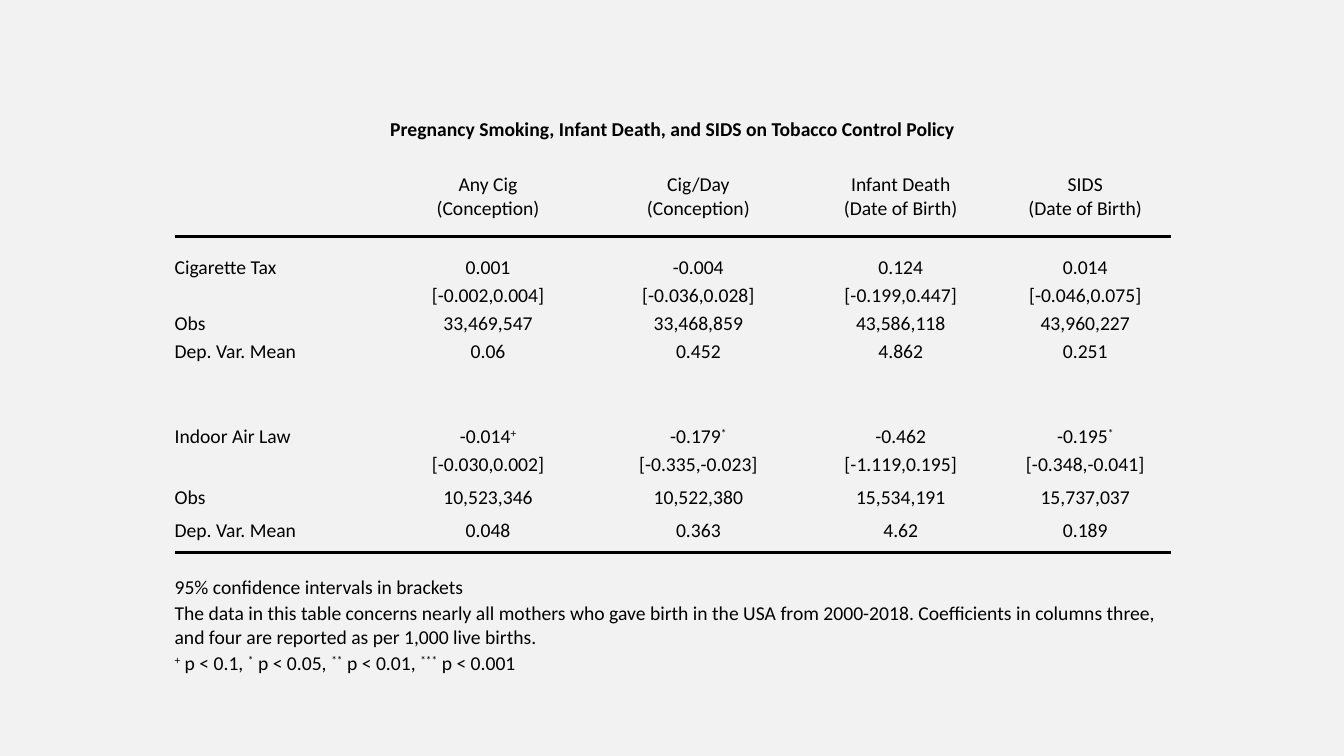
from lxml.etree import SubElement
from pptx import Presentation
from pptx.dml.color import RGBColor
from pptx.enum.shapes import MSO_CONNECTOR
from pptx.enum.text import MSO_ANCHOR, PP_ALIGN
from pptx.oxml.ns import qn
from pptx.util import Cm, Pt

COLORS = {"background": "F2F2F2", "ink": "000000"}
FONT_NAME, FONT_SIZE = "Calibri", 14
NO_GRID_STYLE = "{2D5ABB26-0587-4C30-8999-92F81FD0307C}"
SUPERSCRIPT_MARK = "|"

TITLE = "Pregnancy Smoking, Infant Death, and SIDS on Tobacco Control Policy"
HEADINGS = ["", "Any Cig\n(Conception)", "Cig/Day\n(Conception)",
            "Infant Death\n(Date of Birth)", "SIDS\n(Date of Birth)"]
CIGARETTE_TAX = [
    ["Cigarette Tax", "0.001", "-0.004", "0.124", "0.014"],
    ["", "[-0.002,0.004]", "[-0.036,0.028]", "[-0.199,0.447]", "[-0.046,0.075]"],
    ["Obs", "33,469,547", "33,468,859", "43,586,118", "43,960,227"],
    ["Dep. Var. Mean", "0.06", "0.452", "4.862", "0.251"],
]
INDOOR_AIR_LAW = [
    ["Indoor Air Law", "-0.014|+", "-0.179|*", "-0.462", "-0.195|*"],
    ["", "[-0.030,0.002]", "[-0.335,-0.023]", "[-1.119,0.195]", "[-0.348,-0.041]"],
    ["Obs", "10,523,346", "10,522,380", "15,534,191", "15,737,037"],
    ["Dep. Var. Mean", "0.048", "0.363", "4.62", "0.189"],
]
NOTES = [
    "95% confidence intervals in brackets",
    "The data in this table concerns nearly all mothers who gave birth in the USA "
    "from 2000-2018. Coefficients in columns three, and four are reported as per "
    "1,000 live births.",
    "|+| p < 0.1, |*| p < 0.05, |**| p < 0.01, |***| p < 0.001",
]

BLANK = [""] * 5
ROWS = [[TITLE], BLANK, HEADINGS, BLANK, *CIGARETTE_TAX, BLANK, BLANK,
        *INDOOR_AIR_LAW, BLANK, *[[note] for note in NOTES]]
MERGED_WIDTHS = {0: 5, 1: 5, 3: 4, 14: 5, 15: 5, 16: 5, 17: 5}

TABLE_LEFT, TABLE_TOP = 4.4, 2.9
COLUMN_WIDTHS = [5.2, 5.4, 5.2, 5, 4.3]
ROW_HEIGHT = 0.71
SPECIAL_HEIGHTS = {0: 0.74, 1: 0.61, 2: 1.42, 12: 0.97, 16: 1.2}
ROW_HEIGHTS = [SPECIAL_HEIGHTS.get(index, ROW_HEIGHT) for index in range(len(ROWS))]
TABLE_WIDTH = sum(COLUMN_WIDTHS)
RULE_TOPS = [5.97, 13.92]


def write_paragraph(paragraph, text, alignment, bold):
    paragraph.alignment = alignment
    for index, part in enumerate(text.split(SUPERSCRIPT_MARK)):
        if not part:
            continue
        run = paragraph.add_run()
        run.text = part
        run.font.name = FONT_NAME
        run.font.size = Pt(FONT_SIZE)
        run.font.bold = bold
        run.font.color.rgb = RGBColor.from_string(COLORS["ink"])
        if index % 2:
            run._r.get_or_add_rPr().set("baseline", "30000")
    if not text:
        paragraph._p.get_or_add_endParaRPr().set("sz", str(FONT_SIZE * 100))


def write_cell(cell, text, alignment, bold):
    cell.fill.background()
    cell.vertical_anchor = MSO_ANCHOR.MIDDLE
    cell.margin_left = cell.margin_right = cell.margin_top = cell.margin_bottom = 0
    for index, line in enumerate(text.split("\n")):
        frame = cell.text_frame
        paragraph = frame.add_paragraph() if index else frame.paragraphs[0]
        write_paragraph(paragraph, line, alignment, bold)


def add_results_table(slide):
    table = slide.shapes.add_table(
        len(ROWS), len(COLUMN_WIDTHS), Cm(TABLE_LEFT), Cm(TABLE_TOP),
        Cm(TABLE_WIDTH), Cm(sum(ROW_HEIGHTS))).table
    table.first_row = table.horz_banding = False
    table._tbl.tblPr.find(qn("a:tableStyleId")).text = NO_GRID_STYLE
    for column, width in zip(table.columns, COLUMN_WIDTHS):
        column.width = Cm(width)
    for row, height in zip(table.rows, ROW_HEIGHTS):
        row.height = Cm(height)
    for row_index, texts in enumerate(ROWS):
        is_title = row_index == 0
        for column_index in range(len(COLUMN_WIDTHS)):
            text = texts[column_index] if column_index < len(texts) else ""
            centered = is_title or column_index > 0
            alignment = PP_ALIGN.CENTER if centered else PP_ALIGN.LEFT
            write_cell(table.cell(row_index, column_index), text, alignment, is_title)
    for row_index, width in MERGED_WIDTHS.items():
        table.cell(row_index, 0).merge(table.cell(row_index, width - 1))


def add_rule(slide, top):
    rule = slide.shapes.add_connector(
        MSO_CONNECTOR.STRAIGHT, Cm(TABLE_LEFT), Cm(top),
        Cm(TABLE_LEFT + TABLE_WIDTH), Cm(top))
    rule.line.color.rgb = RGBColor.from_string(COLORS["ink"])
    rule.line.width = Pt(2.25)
    SubElement(rule._element.spPr, qn("a:effectLst"))


presentation = Presentation()
presentation.slide_width, presentation.slide_height = Cm(33.87), Cm(19.05)
slide = presentation.slides.add_slide(presentation.slide_layouts[6])
slide.background.fill.solid()
slide.background.fill.fore_color.rgb = RGBColor.from_string(COLORS["background"])
add_results_table(slide)
for rule_top in RULE_TOPS:
    add_rule(slide, rule_top)
presentation.save("out.pptx")
